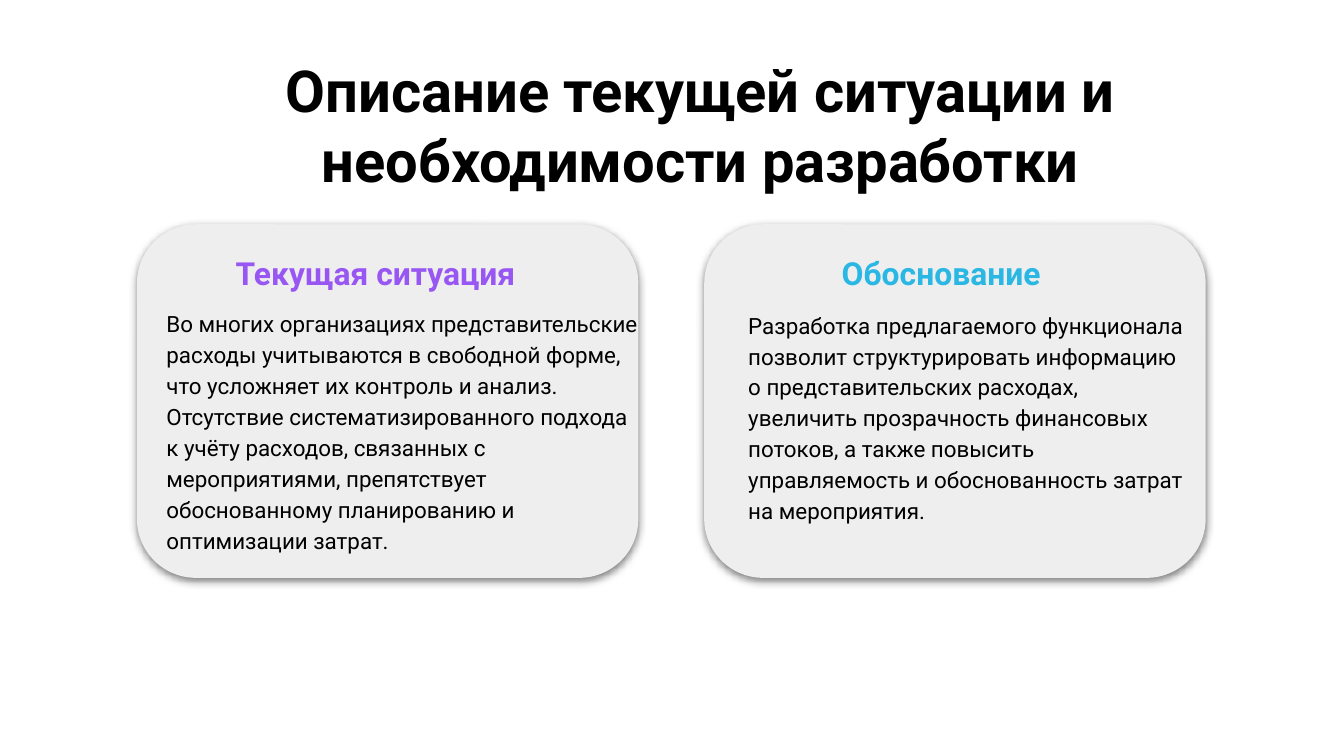
from lxml.etree import SubElement
from pptx import Presentation
from pptx.dml.color import RGBColor
from pptx.enum.shapes import MSO_SHAPE
from pptx.enum.text import MSO_ANCHOR, PP_ALIGN
from pptx.oxml.ns import qn
from pptx.util import Pt

BLACK = RGBColor(0x00, 0x00, 0x00)
GREY = RGBColor(0xEE, 0xEE, 0xEE)
PURPLE = RGBColor(0x98, 0x57, 0xF3)
CYAN = RGBColor(0x2A, 0xB7, 0xE4)

TITLE = "Описание текущей ситуации и необходимости разработки"
CARDS = [
    {
        "left": 73.4,
        "heading": "Текущая ситуация",
        "color": PURPLE,
        "heading_box": (82.1, 128.9, 238.3, 35.3),
        "body": "Во многих организациях представительские расходы учитываются "
                "в свободной форме, что усложняет их контроль и анализ. "
                "Отсутствие систематизированного подхода к учёту расходов, "
                "связанных с мероприятиями, препятствует обоснованному "
                "планированию и оптимизации затрат.",
        "body_box": (82.1, 157, 268.6, 148.3),
    },
    {
        "left": 377.3,
        "heading": "Обоснование",
        "color": CYAN,
        "heading_box": (393.8, 128.9, 221, 35.3),
        "body": "Разработка предлагаемого функционала позволит "
                "структурировать информацию о представительских расходах, "
                "увеличить прозрачность финансовых потоков, а также повысить "
                "управляемость и обоснованность затрат на мероприятия.",
        "body_box": (393.8, 157.7, 252, 131.8),
    },
]
CARD_TOP, CARD_WIDTH, CARD_HEIGHT = 120.2, 268.6, 189.4
INSET = 7.2


def add_text(slide, text, box, size, color=BLACK, bold=False,
             align=PP_ALIGN.LEFT, spacing=1.0):
    frame = slide.shapes.add_textbox(*map(Pt, box)).text_frame
    frame.word_wrap = True
    frame.vertical_anchor = MSO_ANCHOR.TOP
    frame.margin_left = frame.margin_right = Pt(INSET)
    frame.margin_top = frame.margin_bottom = Pt(INSET)
    paragraph = frame.paragraphs[0]
    paragraph.text = text
    paragraph.alignment = align
    paragraph.line_spacing = spacing
    paragraph.font.name = "Roboto"
    paragraph.font.size = Pt(size)
    paragraph.font.bold = bold
    paragraph.font.color.rgb = color


def add_card(slide, left):
    card = slide.shapes.add_shape(
        MSO_SHAPE.ROUNDED_RECTANGLE,
        Pt(left), Pt(CARD_TOP), Pt(CARD_WIDTH), Pt(CARD_HEIGHT))
    card.fill.solid()
    card.fill.fore_color.rgb = GREY
    card.line.fill.background()
    card.shadow.inherit = False
    effects = card.element.spPr.find(qn("a:effectLst"))
    shadow = SubElement(effects, qn("a:outerShdw"), blurRad=str(Pt(4.5)),
                        dist=str(Pt(1.5)), dir="5400000", algn="bl",
                        rotWithShape="0")
    tint = SubElement(shadow, qn("a:srgbClr"), val=str(BLACK))
    SubElement(tint, qn("a:alpha"), val="50000")


def main():
    deck = Presentation()
    deck.slide_width, deck.slide_height = Pt(720), Pt(405)
    slide = deck.slides.add_slide(deck.slide_layouts[6])
    add_text(slide, TITLE, (39.6, 22.3, 671, 86.4), 31, bold=True,
             align=PP_ALIGN.CENTER)
    for card in CARDS:
        add_card(slide, card["left"])
        add_text(slide, card["body"], card["body_box"], 12, spacing=1.15)
        add_text(slide, card["heading"], card["heading_box"], 17,
                 card["color"], True, PP_ALIGN.CENTER)
    deck.save("out.pptx")


if __name__ == "__main__":
    main()
